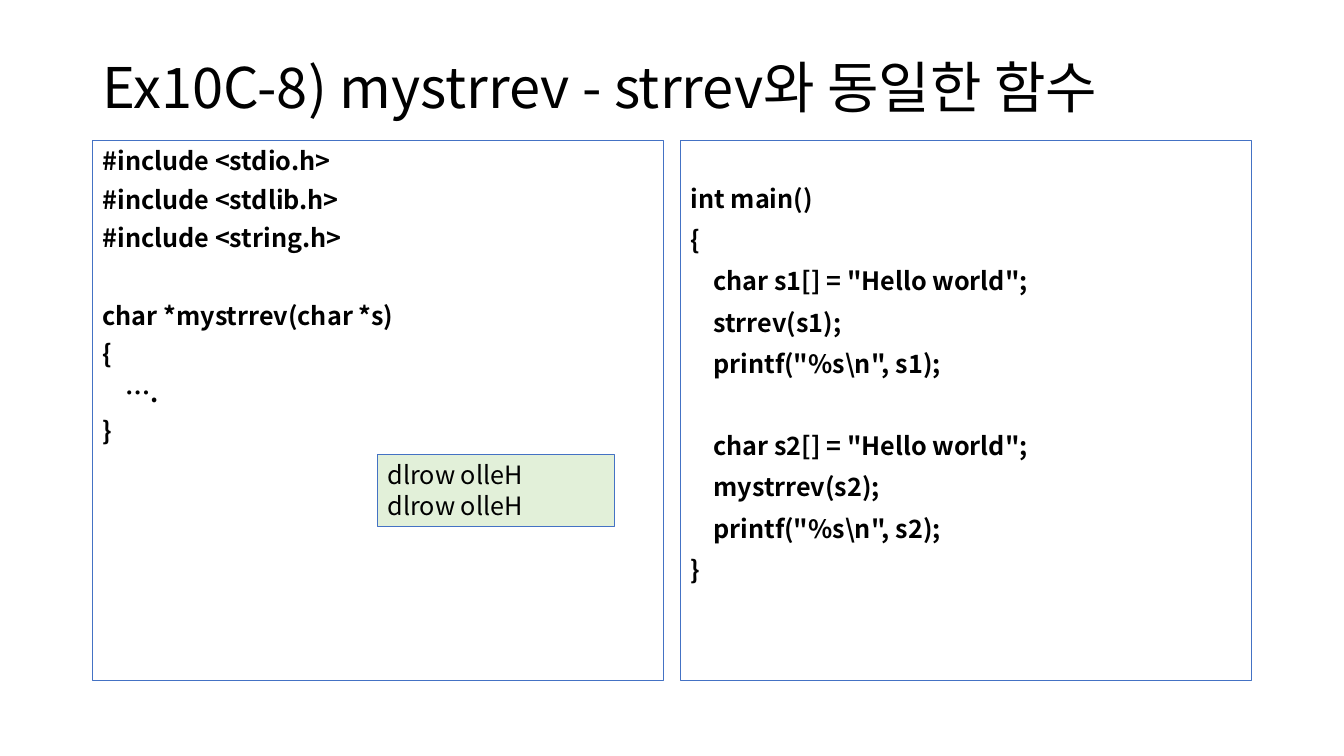
from lxml import etree
from pptx import Presentation
from pptx.dml.color import RGBColor
from pptx.enum.shapes import MSO_SHAPE
from pptx.enum.text import MSO_ANCHOR, MSO_AUTO_SIZE, PP_ALIGN
from pptx.oxml.ns import qn
from pptx.util import Cm, Pt

RECTANGLE = MSO_SHAPE.RECTANGLE
LEFT = PP_ALIGN.LEFT
TOP, MIDDLE = MSO_ANCHOR.TOP, MSO_ANCHOR.MIDDLE
NO_AUTOFIT = MSO_AUTO_SIZE.NONE
GROW = MSO_AUTO_SIZE.SHAPE_TO_FIT_TEXT

FONT = "Noto Sans CJK KR"
BLACK, BLUE, PALE_GREEN = "000000", "4472C4", "E2F0D9"
TWO_CONTENT_LAYOUT = 3

MARGIN, PANEL_TOP = 2.33, 3.53
PANEL_WIDTH, PANEL_HEIGHT, PANEL_GAP = 14.4, 13.61, 0.42

FUNCTION_CODE = [
    ["#include <stdio.h>", "#include <stdlib.h>", "#include <string.h>"],
    ["char *mystrrev(char *s)", "{", "    ….", "}"],
]
MAIN_CODE = [
    ["int main()", "{", '    char s1[] = "Hello world";', "    strrev(s1);",
     '    printf("%s\\n", s1);'],
    ['    char s2[] = "Hello world";', "    mystrrev(s2);",
     '    printf("%s\\n", s2);', "}"],
]


def color(value):
    return RGBColor.from_string(value)


def place(shape, left, top, width, height):
    shape.left, shape.top = Cm(left), Cm(top)
    shape.width, shape.height = Cm(width), Cm(height)


def outline(shape):
    shape.line.color.rgb = color(BLUE)
    shape.line.width = Pt(0.75)


def format_paragraph(paragraph, size, bold=False, line_spacing=1.0, before=0):
    paragraph.alignment = LEFT
    paragraph.line_spacing = line_spacing
    paragraph.space_before = Pt(before)
    for run in paragraph.runs:
        font = run.font
        font.name, font.size, font.bold = FONT, Pt(size), bold
        font.color.rgb = color(BLACK)
        east_asian = etree.Element(qn("a:ea"), typeface=FONT)
        font._element.find(qn("a:latin")).addnext(east_asian)


def remove_bullet(paragraph):
    properties = paragraph._p.get_or_add_pPr()
    properties.set("marL", "0")
    properties.set("indent", "0")
    etree.SubElement(properties, qn("a:buNone"))


def fill_title(title, text):
    place(title, MARGIN, 1.02, 29.21, 2.51)
    frame = title.text_frame
    frame.text = text
    frame.auto_size = NO_AUTOFIT
    frame.vertical_anchor = MIDDLE
    format_paragraph(frame.paragraphs[0], 40, line_spacing=0.9)


def fill_code_panel(panel, column, blocks, line_spacing, before, block_gap,
                    top_inset=0.13):
    """Write blocks of code lines, with a wider gap between the blocks."""
    left = MARGIN + column * (PANEL_WIDTH + PANEL_GAP)
    place(panel, left, PANEL_TOP, PANEL_WIDTH, PANEL_HEIGHT)
    outline(panel)
    frame = panel.text_frame
    frame.text = "\n".join(line for block in blocks for line in block)
    frame.auto_size = NO_AUTOFIT
    frame.vertical_anchor = TOP
    frame.margin_top = Cm(top_inset)
    gaps = [before if row else block_gap
            for block in blocks for row in range(len(block))]
    gaps[0] = 0
    for paragraph, gap in zip(frame.paragraphs, gaps):
        remove_bullet(paragraph)
        format_paragraph(paragraph, 18, True, line_spacing, gap)


def add_output_box(slide, text):
    box = slide.shapes.add_shape(RECTANGLE, Cm(9.52), Cm(11.46), Cm(5.97), Cm(1.8))
    box.shadow.inherit = False
    box.fill.solid()
    box.fill.fore_color.rgb = color(PALE_GREEN)
    outline(box)
    frame = box.text_frame
    frame.text = text
    frame.word_wrap = True
    frame.auto_size = GROW
    frame.vertical_anchor = TOP
    for paragraph in frame.paragraphs:
        format_paragraph(paragraph, 18)


def main():
    presentation = Presentation()
    presentation.slide_width, presentation.slide_height = Cm(33.87), Cm(19.05)
    layout = presentation.slide_layouts[TWO_CONTENT_LAYOUT]
    slide = presentation.slides.add_slide(layout)
    title, function_panel, main_panel = slide.placeholders
    fill_title(title, "Ex10C-8) mystrrev - strrev와 동일한 함수")
    fill_code_panel(function_panel, 0, FUNCTION_CODE, 1.0, 6, 33.6)
    fill_code_panel(main_panel, 1, MAIN_CODE, 0.9, 10, 39.4, top_inset=1.17)
    add_output_box(slide, "dlrow olleH\ndlrow olleH")
    presentation.save("out.pptx")


if __name__ == "__main__":
    main()
